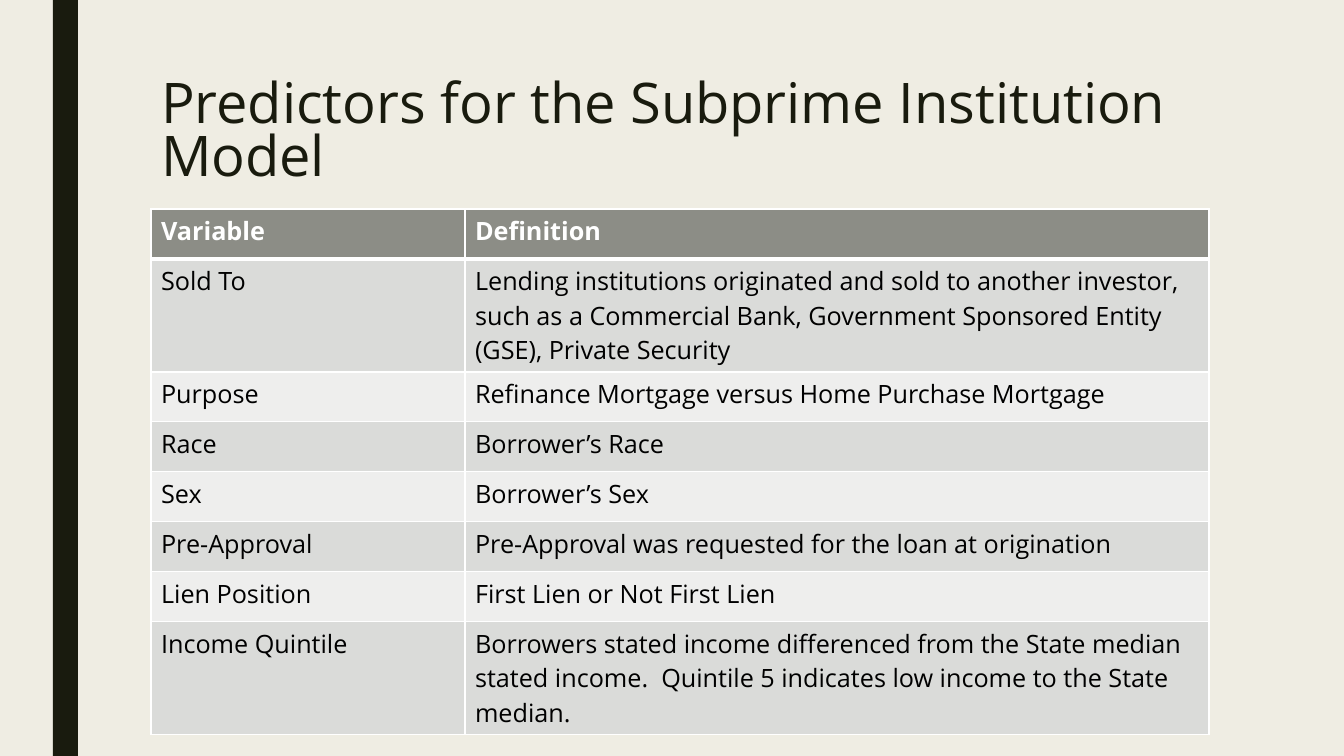
from dataclasses import dataclass

from lxml.etree import SubElement
from pptx import Presentation
from pptx.dml.color import RGBColor
from pptx.enum.shapes import MSO_SHAPE
from pptx.enum.text import MSO_ANCHOR, MSO_AUTO_SIZE, PP_ALIGN
from pptx.oxml.ns import qn
from pptx.util import Emu, Pt

EMU_PER_PX = 12192000 / 1344


@dataclass(frozen=True)
class Theme:
    font: str = "Open Sans"
    background: str = "EFEDE3"
    ink: str = "191B0E"
    header: str = "8C8D86"
    bands: tuple = ("DADBD9", "EEEEED")
    body_text: str = "000000"
    white: str = "FFFFFF"
    title_size: int = 40
    table_size: int = 18


THEME = Theme()

PREDICTORS = [
    ("Variable", "Definition"),
    ("Sold To", "Lending institutions originated and sold to another investor, such as a "
                "Commercial Bank, Government Sponsored Entity (GSE), Private Security"),
    ("Purpose", "Refinance Mortgage versus Home Purchase Mortgage"),
    ("Race", "Borrower’s Race"),
    ("Sex", "Borrower’s Sex"),
    ("Pre-Approval", "Pre-Approval was requested for the loan at origination"),
    ("Lien Position", "First Lien or Not First Lien"),
    ("Income Quintile", "Borrowers stated income differenced from the State median stated income.  "
                        "Quintile 5 indicates low income to the State median."),
]
ROW_HEIGHT, TALL_ROW_HEIGHT = 50, 113
TALL_ROWS = ("Sold To", "Income Quintile")
VARIABLE_WIDTH = 314


def px(length):
    return Emu(round(length * EMU_PER_PX))


def paint(fill, color):
    fill.solid()
    fill.fore_color.rgb = RGBColor.from_string(color)


def add_run(paragraph, text, size, color, bold=False):
    run = paragraph.add_run()
    run.text = text
    run.font.name = THEME.font
    run.font.size = Pt(size)
    run.font.bold = bold
    run.font.color.rgb = RGBColor.from_string(color)


def set_borders(cell, bottom_width):
    """Give the cell white edges; call before its fill is set."""
    properties = cell._tc.get_or_add_tcPr()
    for edge, width in (("L", 1), ("R", 1), ("T", 1), ("B", bottom_width)):
        line = SubElement(properties, qn(f"a:ln{edge}"), w=str(Pt(width)))
        line_fill = SubElement(line, qn("a:solidFill"))
        SubElement(line_fill, qn("a:srgbClr"), val=THEME.white)


def add_side_bar(slide, box):
    bar = slide.shapes.add_shape(MSO_SHAPE.RECTANGLE, *map(px, box))
    bar.shadow.inherit = False
    paint(bar.fill, THEME.ink)
    bar.line.fill.background()


def place_title(slide, box, text):
    title = slide.shapes.title
    title.left, title.top, title.width, title.height = map(px, box)
    frame = title.text_frame
    frame.word_wrap = True
    frame.auto_size = MSO_AUTO_SIZE.NONE
    frame.vertical_anchor = MSO_ANCHOR.TOP
    heading = frame.paragraphs[0]
    heading.alignment = PP_ALIGN.LEFT
    heading.line_spacing = 0.79
    add_run(heading, text, THEME.title_size, THEME.ink)


def add_predictor_table(slide, box):
    table = slide.shapes.add_table(len(PREDICTORS), 2, *map(px, box)).table
    table.columns[0].width = px(VARIABLE_WIDTH)
    table.columns[1].width = px(box[2] - VARIABLE_WIDTH)
    for index, entry in enumerate(PREDICTORS):
        is_header = index == 0
        table.rows[index].height = px(TALL_ROW_HEIGHT if entry[0] in TALL_ROWS else ROW_HEIGHT)
        background = THEME.header if is_header else THEME.bands[(index - 1) % 2]
        color = THEME.white if is_header else THEME.body_text
        for column, text in enumerate(entry):
            cell = table.cell(index, column)
            set_borders(cell, 3 if is_header else 1)
            paint(cell.fill, background)
            add_run(cell.text_frame.paragraphs[0], text, THEME.table_size, color, is_header)


def build_predictors_slide(deck):
    slide = deck.slides.add_slide(deck.slide_layouts[5])
    paint(slide.background.fill, THEME.background)
    # Side bar
    add_side_bar(slide, (53, 0, 25, 756))
    # Title
    place_title(slide, (151, 76, 1058, 163), "Predictors for the Subprime Institution Model")
    # Table of predictors
    add_predictor_table(slide, (151, 209, 1058, 526))


deck = Presentation()
deck.slide_width, deck.slide_height = px(1344), px(756)
build_predictors_slide(deck)
deck.save("out.pptx")
